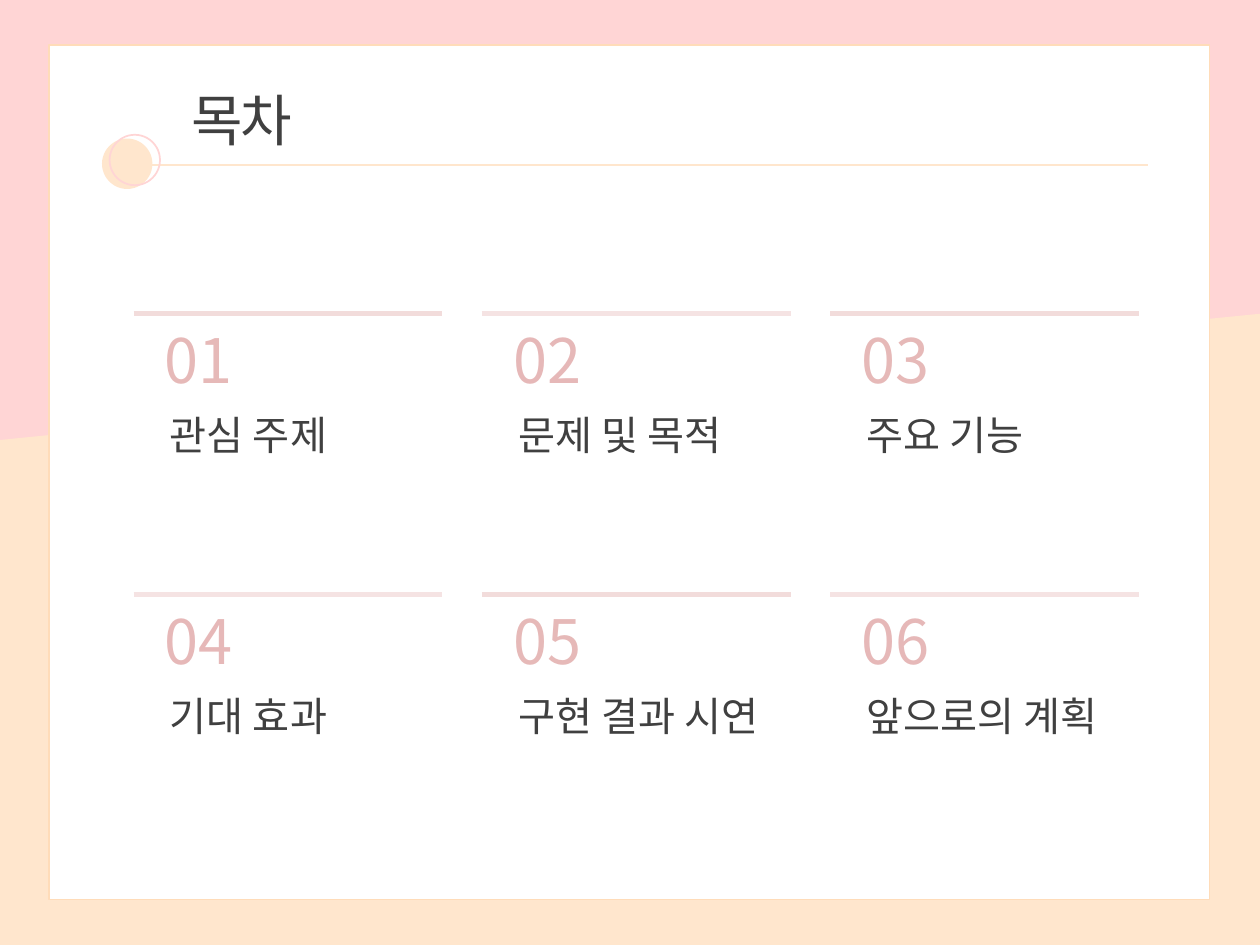
from dataclasses import dataclass

from lxml.etree import SubElement
from pptx import Presentation
from pptx.dml.color import RGBColor
from pptx.enum.shapes import MSO_CONNECTOR, MSO_SHAPE
from pptx.enum.text import MSO_ANCHOR as Anchor, MSO_AUTO_SIZE as AutoSize, PP_ALIGN as Align
from pptx.oxml.ns import qn
from pptx.util import Inches, Pt

PINK = RGBColor(0xFF, 0xD5, 0xD5)
PEACH = RGBColor(0xFF, 0xE6, 0xCD)
PEACH_EDGE = RGBColor(0xFF, 0xDC, 0xB9)
WHITE = RGBColor(0xFF, 0xFF, 0xFF)
DARK = RGBColor(0x40, 0x40, 0x40)
RULE_COLORS = (RGBColor(0xF2, 0xDC, 0xDB), RGBColor(0xF5, 0xE3, 0xE3))
NUMBER_COLORS = (RGBColor(0xE6, 0xB9, 0xB8), RGBColor(0xE6, 0xB8, 0xB8))
FONT = "Noto Sans CJK KR"

COLUMNS = 3
GRID_LEFT, GRID_TOP = 1.06, 2.49
COLUMN_STEP, ROW_STEP = 2.765, 2.23
RULE_LENGTH = 2.45


@dataclass
class Topic:
    label: str
    label_width: float
    number_width: float = 0.88


TOPICS = [
    Topic("관심 주제", 1.95, 0.81),
    Topic("문제 및 목적", 2.09),
    Topic("주요 기능", 1.95),
    Topic("기대 효과", 1.95, 0.96),
    Topic("구현 결과 시연", 2.45),
    Topic("앞으로의 계획", 2.26),
]


def add_figure(shapes, kind: MSO_SHAPE, left: float, top: float, width: float, height: float,
               fill: RGBColor | None = None, line: RGBColor | None = None):
    figure = shapes.add_shape(kind, Inches(left), Inches(top), Inches(width), Inches(height))
    figure.shadow.inherit = False
    if fill is None:
        figure.fill.background()
    else:
        figure.fill.solid()
        figure.fill.fore_color.rgb = fill
    if line is None:
        figure.line.fill.background()
    else:
        figure.line.color.rgb = line
        figure.line.width = Pt(1)
    return figure


def add_rule(page, left: float, right: float, top: float, color: RGBColor, width: float) -> None:
    rule = page.shapes.add_connector(
        MSO_CONNECTOR.STRAIGHT, Inches(left), Inches(top), Inches(right), Inches(top))
    rule.line.color.rgb = color
    rule.line.width = Pt(width)
    SubElement(rule.element.spPr, qn("a:effectLst"))


def write_text(box, text: str, size: float, color: RGBColor, wrap: bool = True):
    frame = box.text_frame
    frame_format = {"word_wrap": wrap, "auto_size": AutoSize.SHAPE_TO_FIT_TEXT,
                    "vertical_anchor": Anchor.TOP}
    for name, value in frame_format.items():
        setattr(frame, name, value)
    para = frame.paragraphs[0]
    para.alignment = Align.LEFT
    span = para.add_run()
    span.text = text
    for name, value in {"size": Pt(size), "name": FONT}.items():
        setattr(span.font, name, value)
    span.font.color.rgb = color
    SubElement(span.font._element, qn("a:ea"), typeface=FONT)
    return span


def add_text(page, left: float, top: float, width: float, height: float,
             text: str, size: float, color: RGBColor) -> None:
    box = page.shapes.add_textbox(Inches(left), Inches(top), Inches(width), Inches(height))
    write_text(box, text, size, color)


def draw_backdrop(page) -> None:
    add_figure(page.shapes, MSO_SHAPE.RECTANGLE, 0, 0, 10, 7.5, PINK)
    add_figure(page.shapes, MSO_SHAPE.FLOWCHART_MANUAL_INPUT, 0, 2.49, 10, 5.01, PEACH)
    card = add_figure(page.shapes, MSO_SHAPE.ROUNDED_RECTANGLE,
                      0.39, 0.36, 9.21, 6.78, WHITE, PEACH_EDGE)
    card.adjustments[0] = 0
    add_rule(page, 0.89, 9.11, 1.31, PEACH, 1.5)
    circles = page.shapes.add_group_shape().shapes
    add_figure(circles, MSO_SHAPE.OVAL, 0.81, 1.1, 0.4, 0.4, fill=PEACH)
    add_figure(circles, MSO_SHAPE.OVAL, 0.87, 1.07, 0.4, 0.4, line=PINK)


def draw_title(page) -> None:
    title = page.shapes.title
    place = {"left": 1.42, "top": 0.63, "width": 1.06, "height": 0.64}
    for name, value in place.items():
        setattr(title, name, Inches(value))
    span = write_text(title, "목차", 32, DARK, wrap=False)
    span.font._element.set("spc", "-150")
    # Bring the title in front of the backdrop
    title.element.getparent().append(title.element)


def draw_topic(page, index: int, topic: Topic) -> None:
    row, column = divmod(index, COLUMNS)
    left = GRID_LEFT + column * COLUMN_STEP
    top = GRID_TOP + row * ROW_STEP
    shade = index % 2
    add_rule(page, left, left + RULE_LENGTH, top, RULE_COLORS[shade], 3)
    add_text(page, left + 0.15, top + 0.02, topic.number_width, 0.69,
             f"{index + 1:02}", 35, NUMBER_COLORS[shade])
    add_text(page, left + 0.19, top + 0.72, topic.label_width, 0.49, topic.label, 23, DARK)


def main() -> None:
    deck = Presentation()
    deck.slide_width, deck.slide_height = Inches(10), Inches(7.5)
    page = deck.slides.add_slide(deck.slide_layouts[5])
    draw_backdrop(page)
    draw_title(page)
    for index, topic in enumerate(TOPICS):
        draw_topic(page, index, topic)
    deck.save("out.pptx")


if __name__ == "__main__":
    main()
